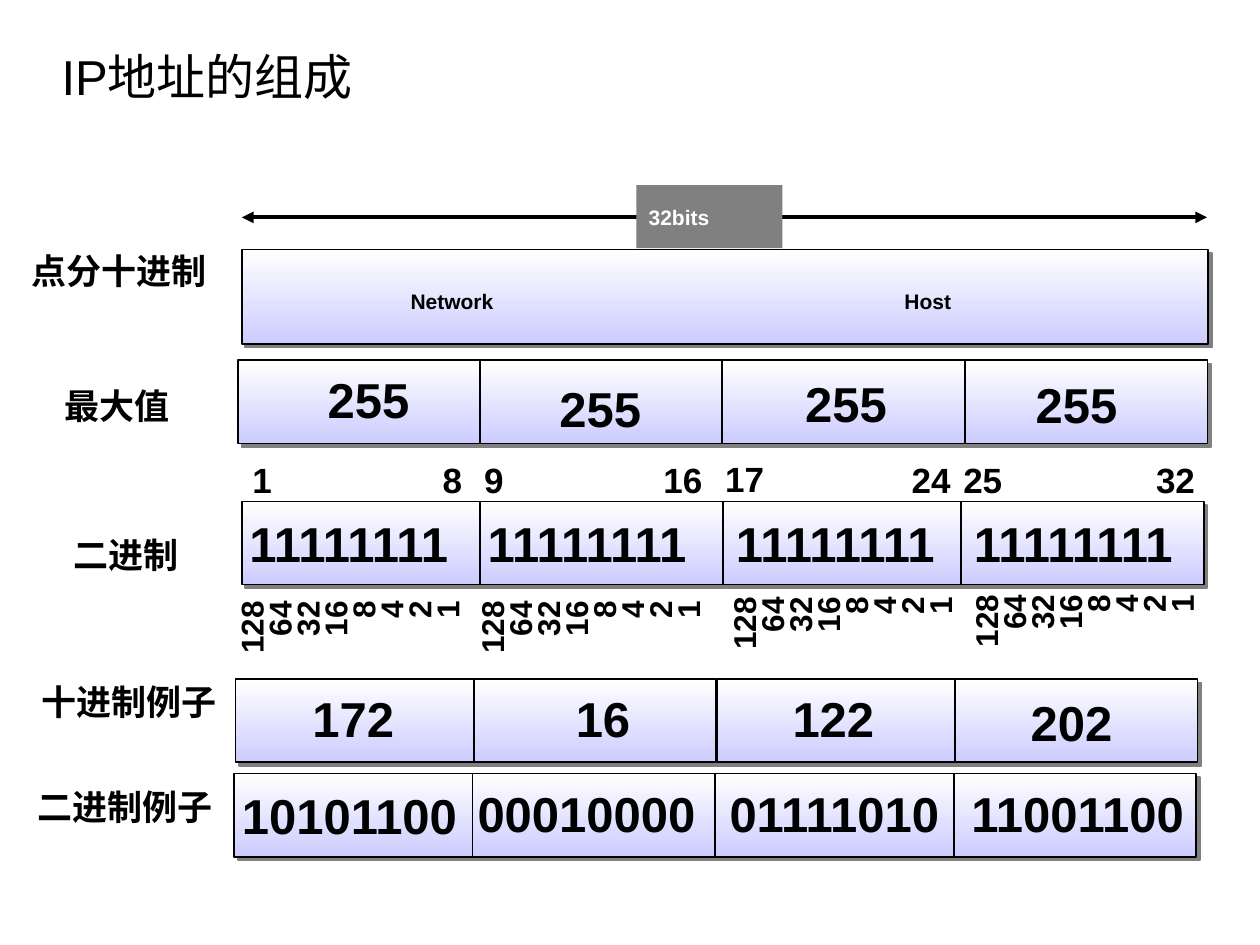
from dataclasses import dataclass

from lxml import etree
from pptx import Presentation
from pptx import util as u
from pptx.dml.color import RGBColor
from pptx.enum import shapes, text
from pptx.oxml import ns

BLACK = RGBColor(0x00, 0x00, 0x00)
WHITE = RGBColor(0xFF, 0xFF, 0xFF)
GRAY = RGBColor(0x80, 0x80, 0x80)
LAVENDER = RGBColor(0xCC, 0xCC, 0xFF)

COLUMNS, ROWS = 100, 75
SLIDE_WIDTH, SLIDE_HEIGHT = u.Inches(10), u.Inches(7.5)
CELL_WIDTH, CELL_HEIGHT = 19.25, 6.6
VALUE_WIDTH, VALUE_HEIGHT = 20.3, 8.3
EVEN_OFFSETS = (0, 19.2, 38.4, 57.7)
OCTET_OFFSETS = (0, 18.9, 38.2, 57.1)
WEIGHTS = "\v".join(str(2 ** power) for power in range(7, -1, -1))


@dataclass(frozen=True)
class Label:
    """A piece of text with its grid column and row."""

    words: str
    column: float
    row: float


@dataclass(frozen=True)
class OctetRow:
    """Four adjoining cells and the values written over them."""

    column: float
    row: float
    offsets: tuple[float, ...]
    values: tuple[Label, ...]


OCTET_ROWS = (
    OctetRow(18.9, 28.6, EVEN_OFFSETS, (
        Label("255", 25.5, 26.9), Label("255", 43.9, 27.6),
        Label("255", 63.4, 27.2), Label("255", 81.7, 27.3))),
    OctetRow(19.2, 39.8, OCTET_OFFSETS, tuple(
        Label("1" * 8, column, 38.3) for column in (19.3, 38.2, 57.9, 76.8))),
    OctetRow(18.7, 53.9, OCTET_OFFSETS, (
        Label("172", 24.3, 52.2), Label("16", 45.2, 52.2),
        Label("122", 62.4, 52.2), Label("202", 81.3, 52.5))),
    OctetRow(18.6, 61.4, OCTET_OFFSETS, (
        Label("10101100", 18.7, 59.9), Label("00010000", 37.4, 59.7),
        Label("01111010", 57.4, 59.7), Label("11001100", 76.6, 59.7))),
)
ROW_LABELS = (
    Label("点分十进制", 2.5, 18.9), Label("最大值", 5.1, 29.6),
    Label("二进制", 5.8, 41.4), Label("十进制例子", 3.3, 53.1),
    Label("二进制例子", 3, 61.4),
)
BIT_NUMBERS = (
    Label("1", 19.1, 35.7), Label("8", 34.2, 35.7),
    Label("9", 37.5, 35.7), Label("16", 52.5, 35.7),
    Label("17", 57.4, 35.6), Label("24", 72.2, 35.7),
    Label("25", 76.3, 35.7), Label("32", 91.6, 35.7),
)
WEIGHT_LISTS = tuple(
    Label(WEIGHTS, column, row)
    for column, row in ((19.9, 45.7), (39, 45.7), (59, 45.4), (78.2, 45.2)))
PARTS = (Label("Network", 31.6, 21.4), Label("Host", 70.8, 21.4))


def across(columns: float) -> int:
    """Turn grid columns into a length."""
    return round(SLIDE_WIDTH * columns / COLUMNS)


def down(rows: float) -> int:
    """Turn grid rows into a length."""
    return round(SLIDE_HEIGHT * rows / ROWS)


def write(box, words: str, *, size: float, color=BLACK, bold=True,
          align=text.PP_ALIGN.LEFT, anchor=text.MSO_ANCHOR.TOP,
          spacing=None, margins=(1, 0.5)) -> None:
    """Fill a shape with one formatted paragraph."""
    frame = box.text_frame
    frame.word_wrap = True
    frame.vertical_anchor = anchor
    frame.margin_left = frame.margin_right = across(margins[0])
    frame.margin_top = frame.margin_bottom = down(margins[1])
    para = frame.paragraphs[0]
    para.text = words
    para.alignment = align
    if spacing:
        para.line_spacing = u.Pt(spacing)
    for span in para.runs:
        span.font.name = "Arial"
        span.font.size = u.Pt(size)
        span.font.bold = bold
        span.font.color.rgb = color


def add_label(page, label: Label, width: float, height: float, *,
              rotation=0, **style):
    """Place a text box on the grid."""
    box = page.shapes.add_textbox(
        across(label.column), down(label.row), across(width), down(height))
    box.rotation = rotation
    write(box, label.words, **style)


def add_block(page, column: float, row: float, width: float, height: float):
    """Place a plain rectangle without shadow on the grid."""
    block = page.shapes.add_shape(
        shapes.MSO_SHAPE.RECTANGLE,
        across(column), down(row), across(width), down(height))
    block.shadow.inherit = False
    return block


def add_cell(page, column: float, row: float, width: float, height: float):
    """Place a gradient rectangle with a hard gray shadow."""
    cell = add_block(page, column, row, width, height)
    cell.fill.gradient()
    cell.fill.gradient_angle = 270
    for stop, color in zip(cell.fill.gradient_stops, (WHITE, LAVENDER)):
        stop.color.rgb = color
    cell.line.color.rgb = BLACK
    cell.line.width = u.Pt(1)
    effects = cell._element.spPr.find(ns.qn("a:effectLst"))
    shadow = etree.SubElement(
        effects, ns.qn("a:outerShdw"), dist=str(u.Pt(2.8)), dir="2700000",
        algn="ctr", rotWithShape="0")
    etree.SubElement(shadow, ns.qn("a:srgbClr"), val=str(GRAY))


def add_span_arrow(page, start: float, end: float, row: float):
    """Draw a horizontal arrow with a head at both ends."""
    arrow = page.shapes.add_connector(
        shapes.MSO_CONNECTOR.STRAIGHT,
        across(start), down(row), across(end), down(row))
    arrow.line.color.rgb = BLACK
    arrow.line.width = u.Pt(2.25)
    line = arrow.line._get_or_add_ln()
    for tip in ("a:headEnd", "a:tailEnd"):
        etree.SubElement(line, ns.qn(tip), type="triangle")
    etree.SubElement(arrow._element.spPr, ns.qn("a:effectLst"))


def main() -> None:
    """Build the slide on the parts of an IP address."""
    deck = Presentation()
    deck.slide_width, deck.slide_height = SLIDE_WIDTH, SLIDE_HEIGHT
    page = deck.slides.add_slide(deck.slide_layouts[6])
    middle = text.MSO_ANCHOR.MIDDLE

    add_label(page, Label("IP地址的组成", 3.9, 2.3), 85.4, 7.5,
              size=28, bold=False, anchor=middle)
    for label in ROW_LABELS:
        add_label(page, label, 16, 9.2, size=20, spacing=25, margins=(0, 0.8))

    add_span_arrow(page, 19.2, 95.8, 17.25)
    add_cell(page, 19.2, 19.8, 76.7, 7.5)
    for label in PARTS:
        add_label(page, label, 15.2, 5, size=12, anchor=middle)
    badge = add_block(page, 50.5, 14.7, 11.6, 5)
    badge.fill.solid()
    badge.fill.fore_color.rgb = GRAY
    badge.line.fill.background()
    write(badge, "32bits", size=12, color=WHITE, anchor=middle)

    for octets in OCTET_ROWS:
        for offset in octets.offsets:
            add_cell(page, octets.column + offset, octets.row,
                     CELL_WIDTH, CELL_HEIGHT)
        for value in octets.values:
            add_label(page, value, VALUE_WIDTH, VALUE_HEIGHT,
                      size=28, spacing=45.6, margins=(0.5, 0.8))
    for number in BIT_NUMBERS:
        add_label(page, number, 3.4, 4.8, size=20, spacing=23.6,
                  align=text.PP_ALIGN.CENTER, anchor=middle, margins=(0, 0))
    for weights in WEIGHT_LISTS:
        add_label(page, weights, 5.3, 8.3, rotation=270, size=18, spacing=16,
                  align=text.PP_ALIGN.RIGHT, margins=(0.5, 0.8))

    deck.save("out.pptx")


if __name__ == "__main__":
    main()
